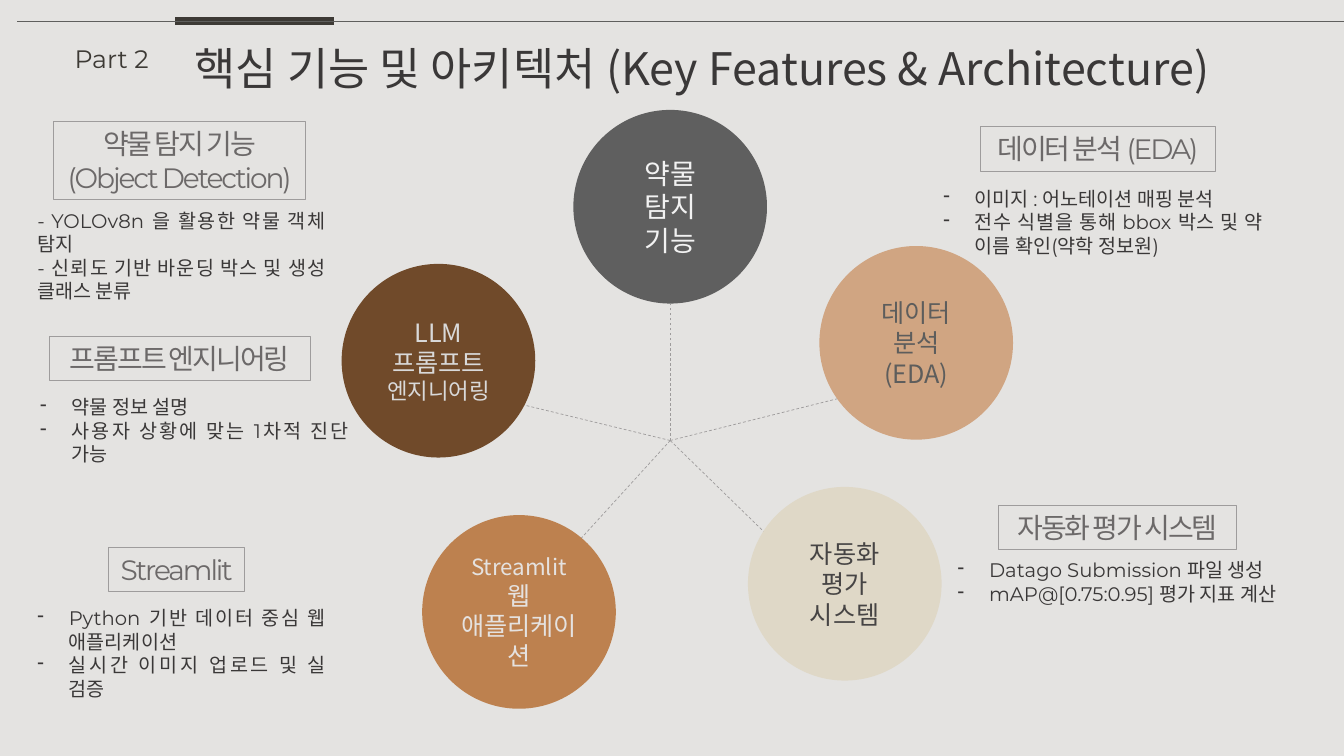
from dataclasses import dataclass

import lxml.etree
import pptx
import pptx.dml.color
import pptx.enum.dml
import pptx.enum.shapes
import pptx.enum.text
import pptx.oxml.ns
import pptx.util

Cm = pptx.util.Cm
Align = pptx.enum.text.PP_ALIGN
Anchor = pptx.enum.text.MSO_ANCHOR
qn = pptx.oxml.ns.qn


@dataclass(frozen=True)
class Theme:
    korean: str = "Noto Sans CJK KR"
    latin: str = "Montserrat"
    background: str = "E4E3E1"
    ink: str = "3A3838"
    accent: str = "3D3A35"
    heading: str = "6C6969"
    border: str = "9E9C9C"
    rule: str = "5F5F5D"
    title_size: int = 32
    heading_size: int = 20
    label_size: int = 18
    list_size: int = 14


@dataclass(frozen=True)
class Frame:
    left: float
    top: float
    width: float
    height: float

    def lengths(self) -> tuple:
        return Cm(self.left), Cm(self.top), Cm(self.width), Cm(self.height)


@dataclass(frozen=True)
class Circle:
    text: str
    sizes: tuple[int, ...]
    left: float
    top: float
    fill: str
    ink: str
    spoke_end: tuple[float, float]


@dataclass(frozen=True)
class Topic:
    heading: str
    heading_frame: Frame
    font: str
    items: str
    items_frame: Frame
    placeholder: int | None  # None: dashes are typed in a plain text box


THEME = Theme()
HUB = (16.89, 11.1)
DIAMETER = 4.88

CIRCLES = [
    Circle("Streamlit\n웹 애플리케이션", (16, 18), 10.64, 12.98, "BD814F", "E5E2E0", (11.38, 17.15)),
    Circle("약물\n탐지\n기능", (20, 20, 20), 14.45, 2.77, "5F5F5F", "F2F2F2", (16.89, 7.67)),
    Circle("데이터\n분석\n(EDA)", (18, 18, 18), 20.65, 6.2, "D0A582", "5D5D5C", (24.74, 9.14)),
    Circle("LLM\n프롬프트\n엔지니어링", (18, 18, 16), 8.61, 6.65, "704A2A", "D9D9D9", (8.61, 9.09)),
    Circle("자동화\n평가\n시스템", (18, 18, 18), 18.85, 12.27, "DFD8C7", "464444", (20.65, 14.76)),
]

TOPICS = [
    Topic("약물 탐지 기능\n(Object Detection)", Frame(1.35, 3.07, 6.35, 1.96), THEME.latin,
          "- YOLOv8n 을 활용한 약물 객체 탐지\n- 신뢰도 기반 바운딩 박스 및 생성 클래스 분류",
          Frame(0.69, 5.13, 7.77, 2.64), None),
    Topic("프롬프트 엔지니어링", Frame(1.24, 8.48, 6.58, 1.12), THEME.latin,
          "약물 정보 설명\n사용자 상황에 맞는 1차적 진단 가능",
          Frame(0.76, 9.83, 8.28, 2.06), 1),
    Topic("Streamlit", Frame(2.74, 13.79, 3.43, 1.12), THEME.latin,
          "Python 기반 데이터 중심 웹 애플리케이션\n실시간 이미지 업로드 및 실 검증",
          Frame(0.69, 15.14, 7.77, 2.64), 2),
    Topic("데이터 분석 (EDA)", Frame(24.71, 3.2, 5.92, 1.12), THEME.latin,
          "이미지 : 어노테이션 매핑 분석\n전수 식별을 통해 bbox 박스 및 약 이름 확인(약학 정보원)",
          Frame(23.52, 4.57, 8.56, 2.06), 3),
    Topic("자동화 평가 시스템", Frame(25.17, 12.73, 5.99, 1.12), THEME.korean,
          "Datago Submission 파일 생성\nmAP@[0.75:0.95] 평가 지표 계산",
          Frame(23.88, 13.94, 8.56, 2.06), 4),
]


def rgb(value: str) -> pptx.dml.color.RGBColor:
    return pptx.dml.color.RGBColor.from_string(value)


def write(box, text: str, size: int, font: str, color: str, align: Align,
          anchor: Anchor = Anchor.TOP, wrap: bool = True, tracking: int = 0) -> None:
    frame = box.text_frame
    frame.text = text
    frame.word_wrap = wrap
    frame.auto_size = pptx.enum.text.MSO_AUTO_SIZE.NONE
    frame.vertical_anchor = anchor
    for para in frame.paragraphs:
        para.alignment = align
        para.line_spacing = 1.0
        para.space_before = pptx.util.Pt(0)
        for span in para.runs:
            span.font.size = pptx.util.Pt(size)
            span.font.bold = False
            span.font.name = font
            span.font.color.rgb = rgb(color)
            properties = span._r.get_or_add_rPr()
            lxml.etree.SubElement(properties, qn("a:ea"), typeface=THEME.korean)
            if tracking:
                properties.set("spc", str(tracking))


def add_dashes(box) -> None:
    for para in box.text_frame.paragraphs:
        properties = para._p.get_or_add_pPr()
        properties.set("marL", str(Cm(0.79)))
        properties.set("indent", str(-Cm(0.79)))
        lxml.etree.SubElement(properties, qn("a:buFontTx"))
        lxml.etree.SubElement(properties, qn("a:buChar"), char="-")


def place(box, frame: Frame) -> None:
    box.left, box.top, box.width, box.height = frame.lengths()


def add_line(page, start: tuple[float, float], end: tuple[float, float],
             color: str, width: float, dashed: bool = False) -> None:
    line = page.shapes.add_connector(pptx.enum.shapes.MSO_CONNECTOR.STRAIGHT,
                                     *(Cm(value) for value in start + end))
    line.line.color.rgb = rgb(color)
    line.line.width = pptx.util.Pt(width)
    if dashed:
        line.line.dash_style = pptx.enum.dml.MSO_LINE.DASH
    lxml.etree.SubElement(line._element.spPr, qn("a:effectLst"))


def add_circle(page, circle: Circle) -> None:
    frame = Frame(circle.left, circle.top, DIAMETER, DIAMETER)
    disc = page.shapes.add_shape(pptx.enum.shapes.MSO_SHAPE.OVAL, *frame.lengths())
    disc.shadow.inherit = False
    disc.fill.solid()
    disc.fill.fore_color.rgb = rgb(circle.fill)
    disc.line.fill.background()
    write(disc, circle.text, circle.sizes[0], THEME.korean, circle.ink, Align.CENTER, Anchor.MIDDLE)
    for para, size in zip(disc.text_frame.paragraphs, circle.sizes):
        para.runs[0].font.size = pptx.util.Pt(size)


def add_topic(page, topic: Topic) -> None:
    heading = page.shapes.add_textbox(*topic.heading_frame.lengths())
    heading.line.color.rgb = rgb(THEME.border)
    heading.line.width = pptx.util.Pt(0.75)
    write(heading, topic.heading, THEME.heading_size, topic.font, THEME.heading,
          Align.CENTER, wrap=False, tracking=-150)

    if topic.placeholder is None:
        box = page.shapes.add_textbox(*topic.items_frame.lengths())
    else:
        box = page.placeholders[topic.placeholder]
        place(box, topic.items_frame)
    write(box, topic.items, THEME.list_size, THEME.latin, THEME.ink, Align.JUSTIFY)
    if topic.placeholder is not None:
        add_dashes(box)


def main() -> None:
    deck = pptx.Presentation()
    deck.slide_width, deck.slide_height = Cm(33.87), Cm(19.05)
    page = deck.slides.add_slide(deck.slide_layouts.get_by_name("Comparison"))
    page.background.fill.solid()
    page.background.fill.fore_color.rgb = rgb(THEME.background)

    # Header
    title = page.shapes.title
    place(title, Frame(4.65, 0.91, 28.07, 1.63))
    write(title, "핵심 기능 및 아키텍처 (Key Features & Architecture)",
          THEME.title_size, THEME.korean, THEME.ink, Align.LEFT)
    label = page.shapes.add_textbox(*Frame(1.63, 0.97, 2.46, 1.02).lengths())
    write(label, "Part 2", THEME.label_size, THEME.latin, THEME.accent, Align.LEFT, wrap=False)
    add_line(page, (4.42, 0.53), (8.41, 0.53), THEME.accent, 6)
    add_line(page, (0.43, 0.53), (33.87, 0.53), THEME.rule, 0.5)

    # Spokes lie under the circles
    for circle in CIRCLES:
        add_line(page, HUB, circle.spoke_end, THEME.border, 0.5, dashed=True)
    for circle in CIRCLES:
        add_circle(page, circle)

    # Headings and lists
    for topic in TOPICS:
        add_topic(page, topic)

    deck.save("out.pptx")


if __name__ == "__main__":
    main()
